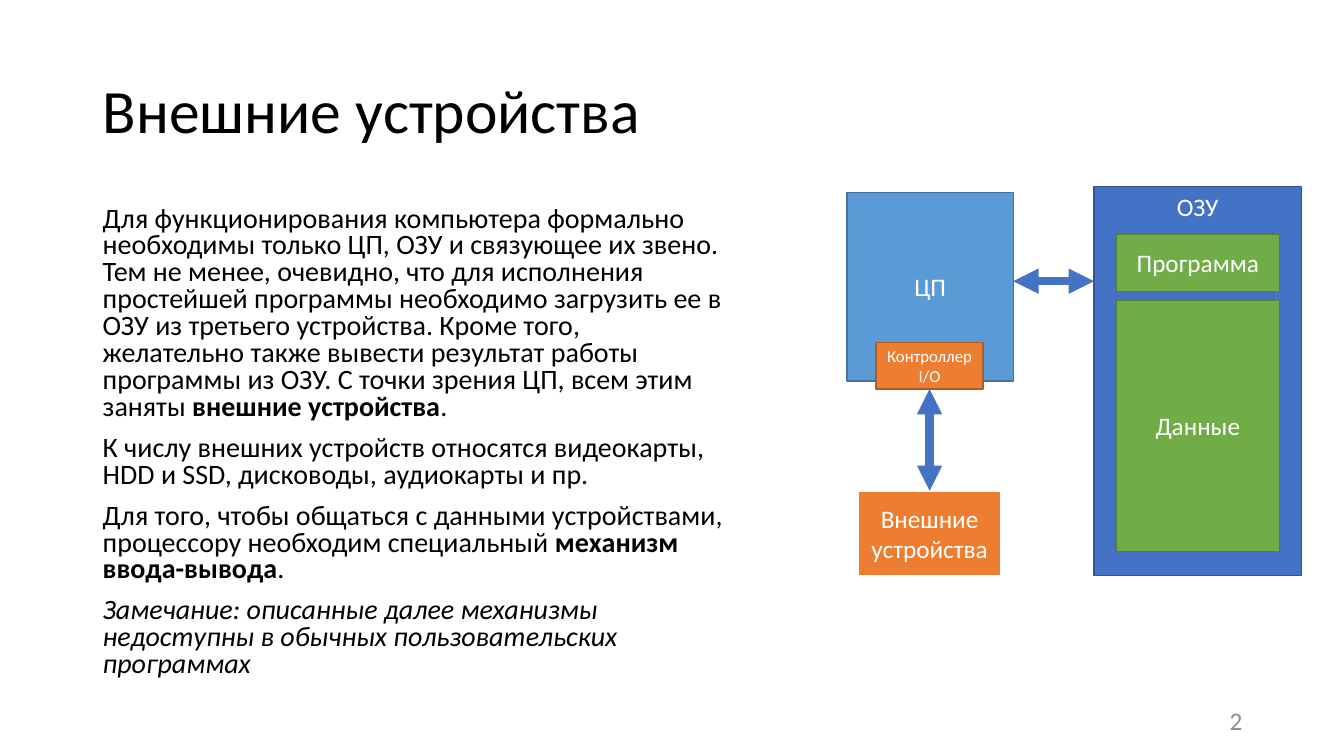
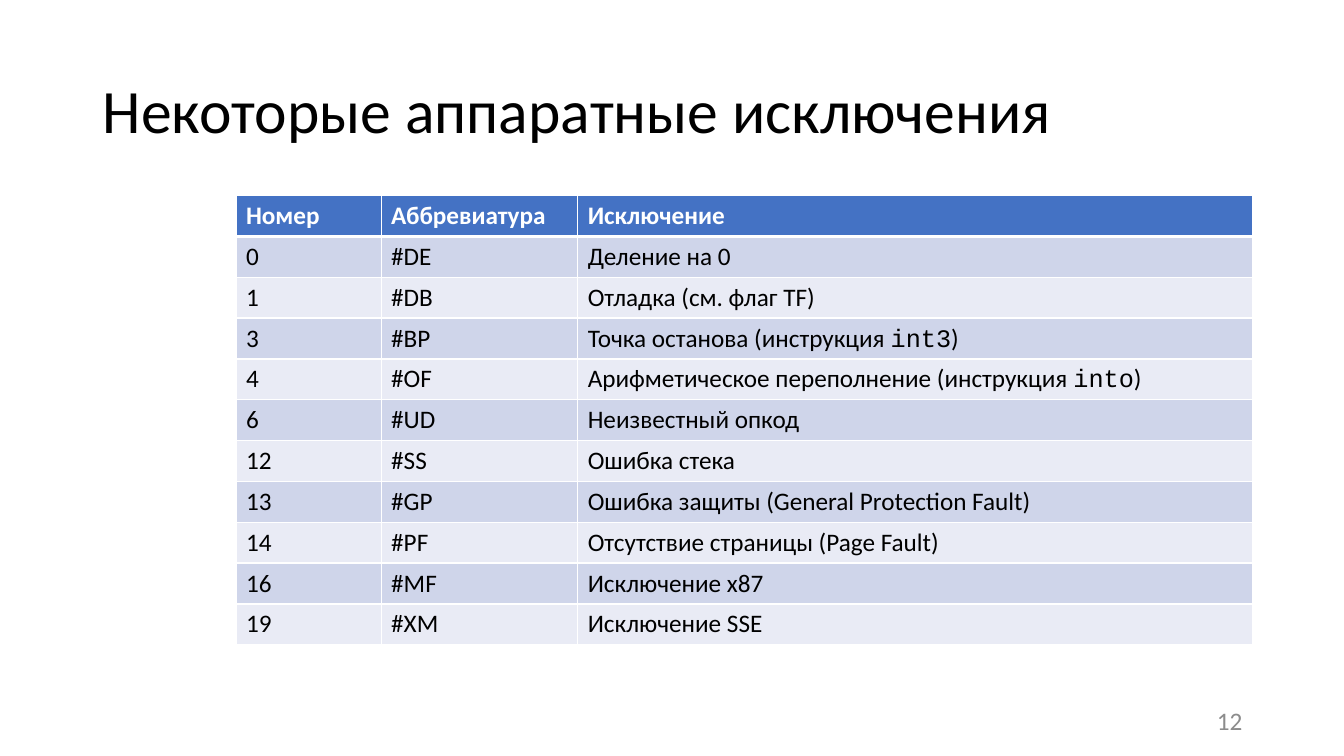
from dataclasses import dataclass
from typing import NamedTuple

from lxml.etree import SubElement
from pptx import Presentation
from pptx.dml.color import RGBColor
from pptx.enum.shapes import MSO_CONNECTOR, MSO_SHAPE
from pptx.enum.text import MSO_ANCHOR as Anchor, PP_ALIGN as Align
from pptx.oxml.ns import qn
from pptx.util import Emu, Pt

PX = 9144  # EMU per px, 100 px to the inch
FONT, MONO = "Calibri", "Courier New"
BLACK, WHITE, GRAY = "000000", "FFFFFF", "8C8C8C"
BLUE, SKY, GREEN, ORANGE = "4472C4", "5B9BD5", "70AD47", "ED7D31"
BANDS = ("CFD5EA", "E9EBF5")
TITLE_ONLY = 5


class Rect(NamedTuple):
    left: int
    top: int
    width: int
    height: int


class Run(NamedTuple):
    text: str
    bold: bool = False
    italic: bool = False
    font: str = FONT


@dataclass(frozen=True)
class Box:
    text: str
    rect: Rect
    fill: str
    line: str
    line_width: float = 1
    size: int = 18
    anchor: Anchor = Anchor.MIDDLE


TITLE = Rect(92, 40, 1150, 145)
PAGE_NUMBER = Rect(942, 695, 300, 40)
BODY = Rect(92, 200, 639, 510)
TABLE = Rect(234, 194, 1008, 446)
COLUMN_WIDTHS = (144, 195, 669)

BODY_TEXT = [
    [Run("Для функционирования компьютера формально необходимы только ЦП, ОЗУ и "
         "связующее их звено. Тем не менее, очевидно, что для исполнения простейшей "
         "программы необходимо загрузить ее в ОЗУ из третьего устройства. Кроме того, "
         "желательно также вывести результат работы программы из ОЗУ. С точки зрения "
         "ЦП, всем этим заняты "),
     Run("внешние устройства", bold=True), Run(".")],
    [Run("К числу внешних устройств относятся видеокарты, HDD и SSD, дисководы, "
         "аудиокарты и пр.")],
    [Run("Для того, чтобы общаться с данными устройствами, процессору необходим "
         "специальный "),
     Run("механизм ввода-вывода", bold=True), Run(".")],
    [Run("Замечание: описанные далее механизмы недоступны в обычных "
         "пользовательских программах", italic=True)],
]

CPU = Box("ЦП", Rect(840, 191, 165, 187), SKY, "43739E")
MEMORY = Box("ОЗУ", Rect(1085, 185, 206, 386), BLUE, "325491", anchor=Anchor.TOP)
PROGRAM = Box("Программа", Rect(1107, 232, 162, 57), GREEN, "538035")
DATA = Box("Данные", Rect(1107, 298, 162, 249), GREEN, "538035")
DEVICES = Box("Внешние устройства", Rect(851, 487, 142, 85), ORANGE, WHITE, 1.5)
CONTROLLER = Box("Контроллер I/O", Rect(869, 340, 106, 46), ORANGE, "AF5C24", size=12)
BUS_Y = 279

EXCEPTIONS = [
    ("Номер", "Аббревиатура", "Исключение"),
    ("0", "#DE", "Деление на 0"),
    ("1", "#DB", "Отладка (см. флаг TF)"),
    ("3", "#BP", [Run("Точка останова (инструкция "), Run("int3", font=MONO), Run(")")]),
    ("4", "#OF", [Run("Арифметическое переполнение (инструкция "),
                  Run("into", font=MONO), Run(")")]),
    ("6", "#UD", "Неизвестный опкод"),
    ("12", "#SS", "Ошибка стека"),
    ("13", "#GP", "Ошибка защиты (General Protection Fault)"),
    ("14", "#PF", "Отсутствие страницы (Page Fault)"),
    ("16", "#MF", "Исключение x87"),
    ("19", "#XM", "Исключение SSE"),
]


def px(length: int) -> Emu:
    return Emu(length * PX)


def place(rect: Rect) -> tuple[Emu, ...]:
    return tuple(px(length) for length in rect)


def rgb(color: str) -> RGBColor:
    return RGBColor.from_string(color)


def write(frame, paragraphs, *, size: int = 18, color: str = BLACK, bold: bool = False,
          align: Align = Align.LEFT, anchor: Anchor = Anchor.TOP,
          line_spacing: float = 1.0, gap: int = 0) -> None:
    """Fill a text frame from a plain string or from paragraphs of runs."""
    if isinstance(paragraphs, str):
        paragraphs = [[Run(paragraphs, bold=bold)]]
    frame.word_wrap = True
    frame.vertical_anchor = anchor
    for index, runs in enumerate(paragraphs):
        paragraph = frame.add_paragraph() if index else frame.paragraphs[0]
        paragraph.alignment = align
        paragraph.line_spacing = line_spacing
        paragraph.space_before = Pt(gap if index else 0)
        for text, run_bold, italic, font_name in runs:
            run = paragraph.add_run()
            run.text = text
            font = run.font
            font.name, font.size = font_name, Pt(size)
            font.bold, font.italic = run_bold, italic
            font.color.rgb = rgb(color)


def add_text(slide, rect: Rect, paragraphs, **text_format) -> None:
    write(slide.shapes.add_textbox(*place(rect)).text_frame, paragraphs, **text_format)


def add_titled_slide(presentation, title: str, number: str):
    slide = presentation.slides.add_slide(presentation.slide_layouts[TITLE_ONLY])
    shape = slide.shapes.title
    shape.left, shape.top, shape.width, shape.height = place(TITLE)
    write(shape.text_frame, title, size=44, anchor=Anchor.MIDDLE, line_spacing=0.9)
    add_text(slide, PAGE_NUMBER, number, color=GRAY, align=Align.RIGHT,
             anchor=Anchor.MIDDLE)
    return slide


def add_box(slide, box: Box):
    shape = slide.shapes.add_shape(MSO_SHAPE.RECTANGLE, *place(box.rect))
    shape.shadow.inherit = False
    shape.fill.solid()
    shape.fill.fore_color.rgb = rgb(box.fill)
    shape.line.color.rgb = rgb(box.line)
    shape.line.width = Pt(box.line_width)
    write(shape.text_frame, box.text, size=box.size, color=WHITE,
          align=Align.CENTER, anchor=box.anchor)
    return shape


def add_double_arrow(slide, start: tuple[int, int] = (0, 0), end: tuple[int, int] = (0, 0)):
    connector = slide.shapes.add_connector(
        MSO_CONNECTOR.STRAIGHT, *(px(length) for length in start + end))
    connector.line.color.rgb = rgb(BLUE)
    connector.line.width = Pt(6)
    line = connector.line._get_or_add_ln()
    for tag in ("a:headEnd", "a:tailEnd"):
        SubElement(line, qn(tag), type="triangle")
    SubElement(connector._element.spPr, qn("a:effectLst"))
    return connector


def add_borders(cell, bottom: int) -> None:
    """Draw white cell borders; only the bottom width, in points, varies."""
    properties = cell._tc.get_or_add_tcPr()
    for side, width in (("L", 1), ("R", 1), ("T", 1), ("B", bottom)):
        line = SubElement(properties, qn(f"a:ln{side}"), w=str(Pt(width)))
        SubElement(SubElement(line, qn("a:solidFill")), qn("a:srgbClr"), val=WHITE)


def add_exception_table(slide) -> None:
    table = slide.shapes.add_table(
        len(EXCEPTIONS), len(COLUMN_WIDTHS), *place(TABLE)).table
    table.horz_banding = False
    for column, width in zip(table.columns, COLUMN_WIDTHS):
        column.width = px(width)
    for row, values in enumerate(EXCEPTIONS):
        header = row == 0
        for column, value in enumerate(values):
            cell = table.cell(row, column)
            add_borders(cell, bottom=3 if header else 1)
            cell.fill.solid()
            cell.fill.fore_color.rgb = rgb(BLUE if header else BANDS[(row - 1) % 2])
            write(cell.text_frame, value if isinstance(value, str) else [value],
                  color=WHITE if header else BLACK, bold=header)


def build_devices_slide(presentation) -> None:
    slide = add_titled_slide(presentation, "Внешние устройства", "2")
    add_text(slide, BODY, BODY_TEXT, size=20, line_spacing=0.8, gap=10)
    for box in (CPU, MEMORY, PROGRAM, DATA):
        add_box(slide, box)
    cpu_right = CPU.rect.left + CPU.rect.width
    add_double_arrow(slide, (cpu_right, BUS_Y), (MEMORY.rect.left, BUS_Y))
    devices, controller = add_box(slide, DEVICES), add_box(slide, CONTROLLER)
    channel = add_double_arrow(slide)
    channel.begin_connect(controller, 2)
    channel.end_connect(devices, 0)


def build_exceptions_slide(presentation) -> None:
    slide = add_titled_slide(presentation, "Некоторые аппаратные исключения", "12")
    add_exception_table(slide)


def main() -> None:
    presentation = Presentation()
    presentation.slide_width, presentation.slide_height = px(1333), px(750)
    build_devices_slide(presentation)
    build_exceptions_slide(presentation)
    presentation.save("out.pptx")


if __name__ == "__main__":
    main()
